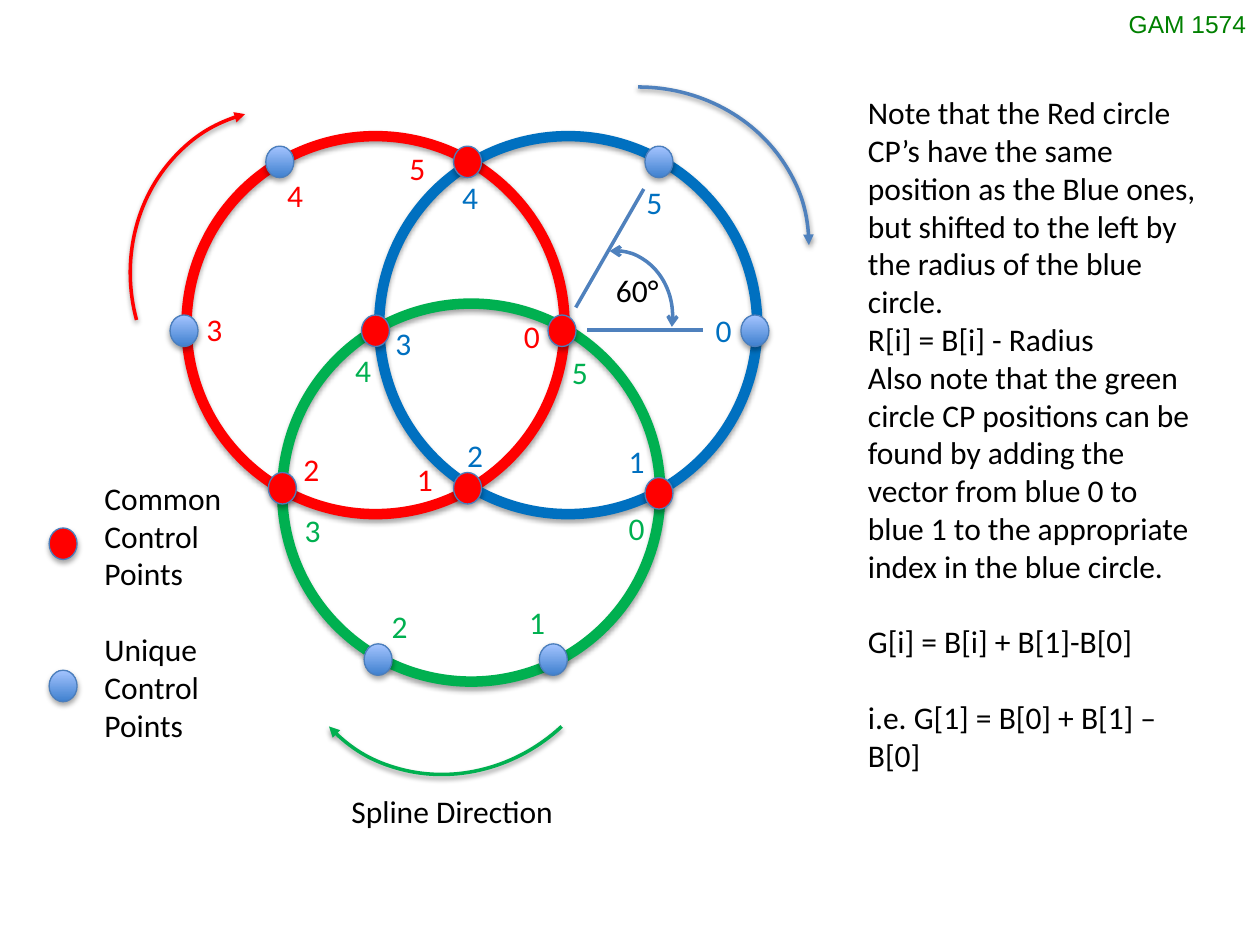
from lxml import etree
from pptx import Presentation
from pptx.dml.color import RGBColor
from pptx.enum.shapes import MSO_CONNECTOR, MSO_SHAPE
from pptx.enum.text import MSO_AUTO_SIZE
from pptx.oxml.ns import qn
from pptx.util import Pt

OVAL, ARC = MSO_SHAPE.OVAL, MSO_SHAPE.ARC
STRAIGHT = MSO_CONNECTOR.STRAIGHT
FIT_TEXT = MSO_AUTO_SIZE.SHAPE_TO_FIT_TEXT

BLACK = RGBColor(0x00, 0x00, 0x00)
RED = RGBColor(0xFF, 0x00, 0x00)
GREEN = RGBColor(0x00, 0xB0, 0x50)
BLUE = RGBColor(0x00, 0x70, 0xC0)
STEEL = RGBColor(0x4F, 0x81, 0xBD)
DOT_EDGE = RGBColor(0x4B, 0x7E, 0xBC)
DOT_DARK = RGBColor(0x3F, 0x80, 0xCE)
DOT_LIGHT = RGBColor(0xA4, 0xC4, 0xFF)
COURSE_GREEN = RGBColor(0x00, 0x80, 0x00)

BODY_FONT = {"name": "Calibri", "size": Pt(18)}
COURSE_FONT = {"name": "Arial", "size": Pt(14)}
LINE_GAP = 21.6


def add_outline(shapes, preset, box, color, weight, shadow=None):
    """Add an unfilled shape; shadow is (opacity %, distance) or None."""
    shape = shapes.add_shape(preset, *map(Pt, box))
    shape.fill.background()
    shape.line.color.rgb = color
    shape.line.width = Pt(weight)
    shape.shadow.inherit = False
    if shadow:
        opacity, distance = shadow
        effects = shape.element.spPr.find(qn("a:effectLst"))
        outer = etree.SubElement(
            effects, qn("a:outerShdw"), blurRad=str(Pt(3.1)),
            dist=str(Pt(distance)), dir="5400000", rotWithShape="0")
        tint = etree.SubElement(outer, qn("a:srgbClr"), val="000000")
        etree.SubElement(tint, qn("a:alpha"), val=str(opacity * 1000))
    return shape


def add_text(box, paragraphs, color=BLACK, font=BODY_FONT, wrap=True):
    """Add a text box from (text, space before) pairs."""
    frame = slide.shapes.add_textbox(*map(Pt, box)).text_frame
    frame.word_wrap = wrap
    frame.auto_size = FIT_TEXT
    for i, (text, gap) in enumerate(paragraphs):
        paragraph = frame.add_paragraph() if i else frame.paragraphs[0]
        paragraph.space_before = Pt(gap)
        run = paragraph.add_run()
        run.text = text
        for key, value in font.items():
            setattr(run.font, key, value)
        run.font.color.rgb = color


prs = Presentation()
prs.slide_width, prs.slide_height = Pt(720), Pt(540)
slide = prs.slides.add_slide(prs.slide_layouts[6])

add_text((637.9, 1.4, 82.1, 24.5), [("GAM 1574", 0)], COURSE_GREEN,
         COURSE_FONT, wrap=False)

# Spline circles
DIAMETER = 216
SOLID_SHADOW, ARC_SHADOW = (35, 1.8), (38, 1.6)
add_outline(slide.shapes, OVAL, (161.3, 173.5, DIAMETER, DIAMETER), GREEN, 6,
            SOLID_SHADOW)
upper_pair = slide.shapes.add_group_shape()
for left, color in ((106.6, RED), (216.7, BLUE)):
    add_outline(upper_pair.shapes, OVAL, (left, 77.8, DIAMETER, DIAMETER),
                color, 6, SOLID_SHADOW)

# Direction arrows and the angle mark
DIRECTION_SIZE = (195.1, 180.7)
QUARTER = (162, 0)
ONE_END, BOTH_ENDS = {"tailEnd": "triangle"}, {"headEnd": "arrow", "tailEnd": "arrow"}
arcs = (
    ((267.1, 49.7, *DIRECTION_SIZE), 0, STEEL, QUARTER, ONE_END, ARC_SHADOW),
    ((162, 258.5, *DIRECTION_SIZE), 137.2, GREEN, QUARTER, ONE_END, ARC_SHADOW),
    ((67.7, 69.1, *DIRECTION_SIZE), 255, RED, QUARTER, ONE_END, ARC_SHADOW),
    ((318.2, 143.3, 66.2, 74.9), 0, STEEL, (159.34, 6.34), BOTH_ENDS, None),
)
for box, rotation, color, angles, ends, shadow in arcs:
    arc = add_outline(slide.shapes, ARC, box, color, 2, shadow)
    arc.rotation = rotation
    for i, angle in enumerate(angles):
        arc.adjustments[i] = angle
    outline = arc.element.spPr.find(qn("a:ln"))
    for end, head in ends.items():
        etree.SubElement(outline, qn("a:" + end), type=head)

for ends in ((367.9, 108, 329, 175.7), (335.5, 188.6, 401.8, 188.6)):
    ray = slide.shapes.add_connector(STRAIGHT, *map(Pt, ends))
    ray.line.color.rgb = STEEL
    ray.line.width = Pt(2)
    etree.SubElement(ray.element.spPr, qn("a:effectLst"))

# Control points, the first of each kind being its legend key
common_points = ((28.1, 301.7), (259.2, 83.5), (368.6, 272.9), (313.2, 180),
                 (259.2, 270), (206.6, 180), (153.4, 270))
unique_points = ((28.1, 383), (368.6, 83.5), (151.9, 83.5), (97.2, 180),
                 (423.4, 180), (308.2, 367.9), (208.1, 367.9))
for points, is_common in ((common_points, True), (unique_points, False)):
    for left, top in points:
        dot = add_outline(slide.shapes, OVAL, (left, top, 16, 18), DOT_EDGE,
                          0.75, SOLID_SHADOW)
        if is_common:
            dot.fill.solid()
            dot.fill.fore_color.rgb = RED
        else:
            dot.fill.gradient()
            dot.fill.gradient_angle = 90
            for stop, shade in zip(dot.fill.gradient_stops, (DOT_DARK, DOT_LIGHT)):
                stop.color.rgb = shade

# Index labels, in order from 0 to 5 round each circle
index_labels = (
    (RED, ((292.3, 177.8), (231.1, 259.2), (166.3, 253.4),
           (110.9, 173.5), (157, 97.2), (226.8, 81.4))),
    (GREEN, ((352.1, 287.3), (295.2, 341.3), (216.7, 343.4),
             (167, 288.7), (195.8, 197.3), (319.7, 198))),
    (BLUE, ((401.8, 174.2), (352.1, 249.1), (259.9, 245.5),
            (218.9, 181.4), (257, 97.9), (362.2, 100.8))),
)
for color, places in index_labels:
    for index, (left, top) in enumerate(places):
        add_text((left, top, 18, 29), [(str(index), 0)], color)

# Captions and explanation
add_text((344.9, 151.2, 54, 29), [("60°", 0)])
add_text((193.7, 449.3, 131, 29), [("Spline Direction", 0)], wrap=False)
add_text((52.6, 270, 82.1, 159.8), [
    ("Common", 0), ("Control", 0), ("Points", 0),
    ("Unique", LINE_GAP), ("Control", 0), ("Points", 0)], wrap=False)
add_text((488.9, 49.7, 203, 399.6), [
    ("Note that the Red circle CP’s have the same position as the Blue ones, "
     "but shifted to the left by the radius of the blue circle.", 0),
    ("R[i] = B[i] - Radius", 0),
    ("Also note that the green circle CP positions can be found by adding the "
     "vector from blue 0 to blue 1 to the appropriate index in the blue circle.", 0),
    ("G[i] = B[i] + B[1]-B[0]", LINE_GAP),
    ("i.e. G[1] = B[0] + B[1] – B[0]", LINE_GAP)])

prs.save("out.pptx")
